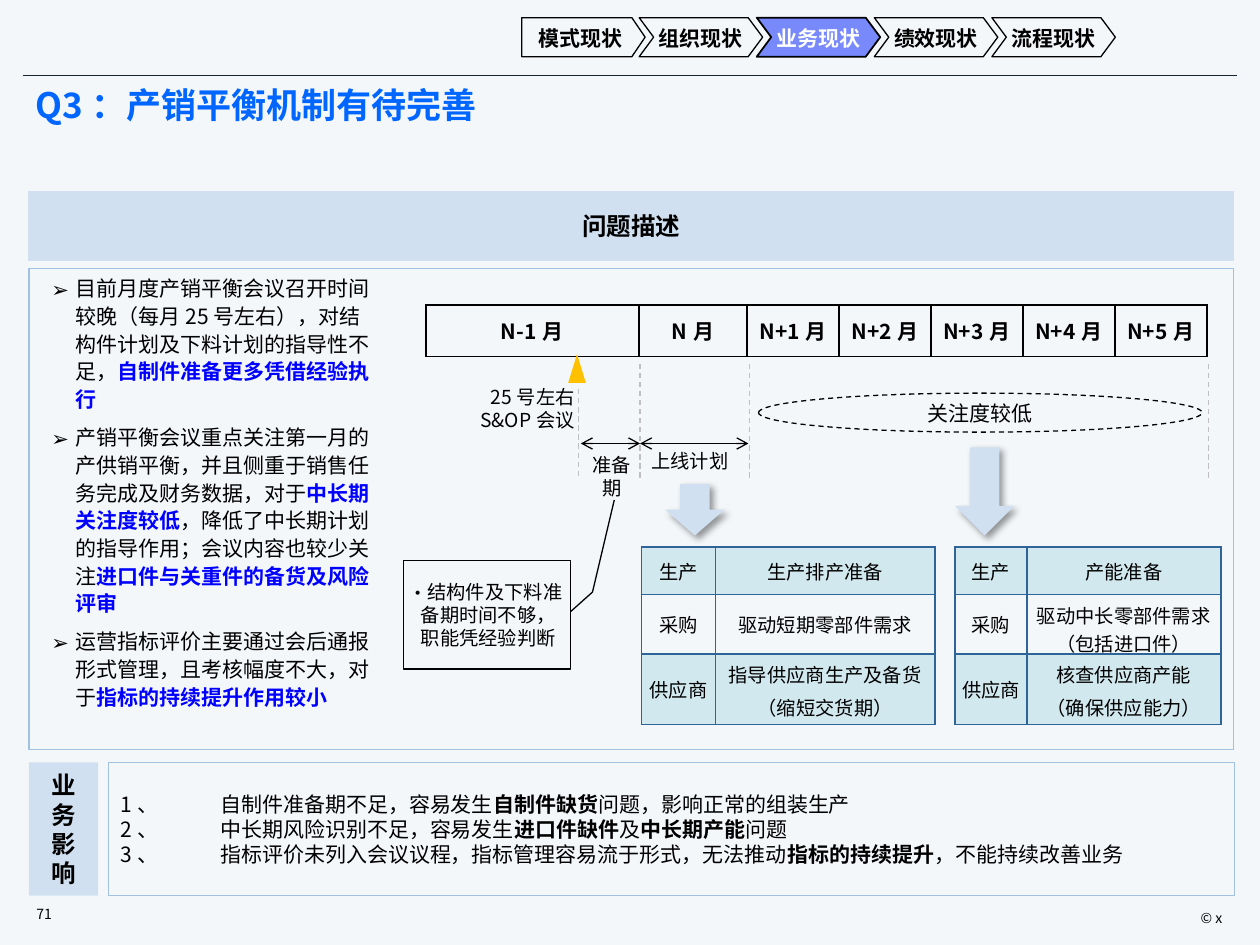
from copy import deepcopy
from itertools import product
from lxml.etree import SubElement
from pptx import Presentation
from pptx.dml.color import RGBColor
from pptx.enum.dml import MSO_LINE
from pptx.enum.shapes import MSO_CONNECTOR, MSO_SHAPE
from pptx.enum.text import MSO_ANCHOR, PP_ALIGN
from pptx.oxml.ns import qn
from pptx.util import Inches, Pt

FONT = "Noto Sans CJK SC"
BLACK = RGBColor(0x00, 0x00, 0x00)
WHITE = RGBColor(0xFF, 0xFF, 0xFF)
PAGE = RGBColor(0xF4, 0xF7, 0xFA)
INK = RGBColor(0x17, 0x24, 0x31)
TITLE = RGBColor(0x00, 0x66, 0xFF)
EMPHASIS = RGBColor(0x00, 0x00, 0xFF)
PALE = RGBColor(0xD0, 0xE0, 0xF0)
FRAME = RGBColor(0xA0, 0xC1, 0xE2)
ACTIVE = RGBColor(0x78, 0x89, 0xFB)
AMBER = RGBColor(0xFF, 0xC0, 0x00)
GUIDE = RGBColor(0xBF, 0xBF, 0xBF)
NAVY = RGBColor(0x2F, 0x64, 0x99)
TEAL = RGBColor(0x4B, 0xAC, 0xC6)

WIDTH, HEIGHT = Inches(10), Inches(7.5)
LEFT, CENTER, RIGHT = PP_ALIGN.LEFT, PP_ALIGN.CENTER, PP_ALIGN.RIGHT
TIGHT = (0.04, 0.05, 0.04, 0.05)
STAGES = ["模式现状", "组织现状", "业务现状", "绩效现状", "流程现状"]
MONTHS = ["N-1月", "N月"] + [f"N+{n}月" for n in range(1, 6)]
FINDINGS = [
    "目前月度产销平衡会议召开时间较晚（每月25号左右），对结构件计划及下料计划的指导性不足，**自制件准备更多凭借经验执行",
    "产销平衡会议重点关注第一月的产供销平衡，并且侧重于销售任务完成及财务数据，对于**中长期关注度较低**，"
    "降低了中长期计划的指导作用；会议内容也较少关注**进口件与关重件的备货及风险评审",
    "运营指标评价主要通过会后通报形式管理，且考核幅度不大，对于**指标的持续提升作用较小",
]
IMPACTS = [
    "1、\t自制件准备期不足，容易发生**自制件缺货**问题，影响正常的组装生产",
    "2、\t中长期风险识别不足，容易发生**进口件缺件**及**中长期产能**问题",
    "3、\t指标评价未列入会议议程，指标管理容易流于形式，无法推动**指标的持续提升**，不能持续改善业务",
]
SHORT_TERM = [["生产", "生产排产准备"], ["采购", "驱动短期零部件需求"],
              ["供应商", "指导供应商生产及备货\n（缩短交货期）"]]
LONG_TERM = [["生产", "产能准备"], ["采购", "驱动中长零部件需求\v（包括进口件）"],
             ["供应商", "核查供应商产能\n（确保供应能力）"]]


def col(n):
    return round(WIDTH * n / 100)


def row(n):
    return round(HEIGHT * n / 75)


def grid(at):
    x, y, w, h = at
    return col(x), row(y), col(w), row(h)


def add_run(p, text, size, color, bold):
    r = p.add_run()
    r.text = text
    for key, value in {"name": FONT, "size": Pt(size), "bold": bold}.items():
        setattr(r.font, key, value)
    r.font.color.rgb = color
    SubElement(r.font._element, qn("a:ea"), typeface=FONT)


def write(tf, lines, size, color=BLACK, bold=False, strong=None, align=LEFT,
          before=0, spacing=None, indent=0, bullet=None):
    for i, line in enumerate(lines):
        p = tf.add_paragraph() if i else tf.paragraphs[0]
        pPr = p._p.get_or_add_pPr()
        if indent:
            pPr.set("marL", str(Inches(indent)))
            pPr.set("indent", str(-Inches(indent)))
        if bullet:
            SubElement(pPr, qn("a:buFont"), typeface=FONT)
            SubElement(pPr, qn("a:buChar"), char=bullet)
        props = {"alignment": align, "line_spacing": spacing,
                 "space_before": Pt(before if i else 0)}
        for key, value in props.items():
            setattr(p, key, value)
        for n, part in enumerate(line.split("**")):
            marked = n % 2 == 1
            for k, piece in enumerate(part.split("\v")):
                if k:
                    p.add_line_break()
                add_run(p, piece, size, strong if marked and strong else color, bold or marked)
        for br in p._p.findall(qn("a:br")):
            br.append(deepcopy(p.runs[0]._r.rPr))


def set_frame(tf, ins=(0.1, 0.05, 0.1, 0.05), anchor=MSO_ANCHOR.MIDDLE, wrap=True):
    sides = ("margin_left", "margin_top", "margin_right", "margin_bottom")
    props = {**dict(zip(sides, map(Inches, ins))), "vertical_anchor": anchor, "word_wrap": wrap}
    for key, value in props.items():
        setattr(tf, key, value)


def add_text(s, at, lines, size, anchor=MSO_ANCHOR.TOP, wrap=True, **style):
    tf = s.shapes.add_textbox(*grid(at)).text_frame
    set_frame(tf, anchor=anchor, wrap=wrap)
    write(tf, lines, size, **style)


def add_box(s, kind, at, fill=None, line=None, width=0.75, dash=None, adj=()):
    sp = s.shapes.add_shape(kind, *grid(at))
    sp.shadow.inherit = False
    for fmt, color in ((sp.fill, fill), (sp.line.fill, line)):
        if color is None:
            fmt.background()
        else:
            fmt.solid()
            fmt.fore_color.rgb = color
    if line is not None:
        sp.line.width = Pt(width)
        sp.line.dash_style = dash
    for i, value in enumerate(adj):
        sp.adjustments[i] = value
    set_frame(sp.text_frame)
    return sp


def add_line(s, x1, y1, x2, y2, color=BLACK, width=0.75, dash=None, arrows=False):
    c = s.shapes.add_connector(MSO_CONNECTOR.STRAIGHT, col(x1), row(y1), col(x2), row(y2))
    c.line.color.rgb = color
    c.line.width = Pt(width)
    c.line.dash_style = dash
    if arrows:
        for end in ("a:headEnd", "a:tailEnd"):
            SubElement(c.line._get_or_add_ln(), qn(end), type="arrow")
    SubElement(c._element.spPr, qn("a:effectLst"))


def add_down_arrow(s, at):
    sp = add_box(s, MSO_SHAPE.DOWN_ARROW, at, fill=PALE)
    effects = sp._element.spPr.find(qn("a:effectLst"))
    shadow = SubElement(effects, qn("a:outerShdw"), blurRad=str(Pt(4)), dist=str(Pt(3)),
                        dir="2700000", algn="tl", rotWithShape="0")
    color = SubElement(shadow, qn("a:srgbClr"), val=str(BLACK))
    SubElement(color, qn("a:alpha"), val="40000")


def set_borders(tcPr, color):
    for side in ("a:lnL", "a:lnR", "a:lnT", "a:lnB"):
        ln = SubElement(tcPr, qn(side), w=str(Pt(1)))
        SubElement(SubElement(ln, qn("a:solidFill")), qn("a:srgbClr"), val=str(color))


def add_grid_table(s, x, y, widths, heights, data, border, size, bold=False, banded=False):
    at = grid((x, y, sum(widths), sum(heights)))
    table = s.shapes.add_table(len(heights), len(widths), *at).table
    table.first_row = table.horz_banding = False
    for i, w in enumerate(widths):
        table.columns[i].width = col(w)
    for i, h in enumerate(heights):
        table.rows[i].height = row(h)
    for i, j in product(range(len(heights)), range(len(widths))):
        cell = table.cell(i, j)
        tcPr = cell._tc.get_or_add_tcPr()
        set_borders(tcPr, border)
        if banded and i % 2 == 0:
            cell.fill.solid()
            cell.fill.fore_color.rgb = TEAL
            SubElement(tcPr.find(qn("a:solidFill"))[0], qn("a:alpha"), val="20000")
        else:
            cell.fill.background()
        set_frame(cell, TIGHT)
        write(cell.text_frame, data[i][j].split("\n"), size, bold=bold, align=CENTER, before=3)


def add_stages(s, active):
    for i, name in enumerate(STAGES):
        on = i == active
        kind, adj = (MSO_SHAPE.CHEVRON, 0.37) if i else (MSO_SHAPE.PENTAGON, 0.34)
        sp = add_box(s, kind, (41.4 + 9.33 * i, 1.4, 9.8, 3.1), fill=ACTIVE if on else None,
                     line=BLACK, width=1 if on else 0.75, adj=[adj])
        set_frame(sp.text_frame, (0.1, 0.08, 0.1, 0.04), wrap=False)
        write(sp.text_frame, [name], 12, WHITE if on else BLACK, True, align=CENTER, spacing=0.9)


def add_panels(s):
    heading = add_box(s, MSO_SHAPE.RECTANGLE, (2.3, 15.2, 95.6, 5.5), PALE, PALE)
    write(heading.text_frame, ["问题描述"], 14, bold=True, align=CENTER)
    add_box(s, MSO_SHAPE.RECTANGLE, (2.3, 21.3, 95.6, 38.2), line=FRAME)
    label = add_box(s, MSO_SHAPE.RECTANGLE, (2.3, 60.5, 5.5, 10.6), PALE)
    write(label.text_frame, ["业务影响"], 14, bold=True, align=CENTER)
    impact = add_box(s, MSO_SHAPE.RECTANGLE, (8.6, 60.5, 89.4, 10.6), line=FRAME)
    write(impact.text_frame, IMPACTS, 12, indent=0.29)
    add_text(s, (3.1, 21.2, 28.1, 33.8), FINDINGS, 12, strong=EMPHASIS,
             before=6, spacing=1.1, indent=0.19, bullet="➢")


def add_timeline(s):
    add_grid_table(s, 33.8, 24.2, [16.9, 8.6] + [7.3] * 5, [4.1], [MONTHS], BLACK, 12, bold=True)
    add_box(s, MSO_SHAPE.ISOSCELES_TRIANGLE, (45.1, 28.1, 1.4, 2.3), fill=AMBER)
    add_text(s, (37, 30.1, 9.6, 4.7), ["25号左右\vS&OP会议"], 11, wrap=False, align=RIGHT)
    for x, top in ((45.9, 30.9), (50.8, 28.9), (59.5, 28.9), (95.9, 28.9)):
        add_line(s, x, top, x, 38, GUIDE, dash=MSO_LINE.DASH)
    for x1, x2 in ((46.1, 50.8), (50.8, 59.4)):
        add_line(s, x1, 35.2, x2, 35.2, arrows=True)
    add_text(s, (50.7, 35.2, 8.2, 2.9), ["上线计划"], 11, wrap=False)
    add_text(s, (46, 35.5, 5.1, 4.7), ["准备", "期"], 11, wrap=False, align=CENTER)
    oval = add_box(s, MSO_SHAPE.OVAL, (60.2, 31.2, 35.2, 3.1), line=BLACK, dash=MSO_LINE.DASH)
    write(oval.text_frame, ["关注度较低"], 12, align=CENTER)
    note = add_box(s, MSO_SHAPE.LINE_CALLOUT_2, (32, 44.5, 13.3, 8.6), line=BLACK,
                   adj=[0.47, 1, 0.29, 1.13, -0.56, 1.26])
    set_frame(note.text_frame, TIGHT)
    write(note.text_frame, ["结构件及下料准备期时间不够，职能凭经验判断"], 11, indent=0.1, bullet="•")


def add_actions(s):
    add_down_arrow(s, (75.8, 35.5, 4.7, 7))
    add_down_arrow(s, (52.8, 38.4, 4.7, 4.1))
    for x, widths, data in ((75.8, [5.7, 15.4], LONG_TERM), (50.9, [5.9, 17.4], SHORT_TERM)):
        add_grid_table(s, x, 43.4, widths, [3.8, 4.7, 5.6], data, NAVY, 11, banded=True)


def main():
    prs = Presentation()
    prs.slide_width, prs.slide_height = WIDTH, HEIGHT
    s = prs.slides.add_slide(prs.slide_layouts[6])
    s.background.fill.solid()
    s.background.fill.fore_color.rgb = PAGE
    add_line(s, 1.8, 6, 98.2, 6, INK, 1)
    add_text(s, (83, 71.7, 15, 2), ["© x"], 8, align=RIGHT)
    add_text(s, (1.9, 71.3, 7, 2.4), ["71"], 8, anchor=MSO_ANCHOR.MIDDLE)
    add_text(s, (1.8, 6.5, 96.5, 7.6), ["Q3：产销平衡机制有待完善"], 20,
             color=TITLE, bold=True, spacing=0.9)
    add_panels(s)
    add_timeline(s)
    add_actions(s)
    add_stages(s, active=2)
    prs.save("out.pptx")


if __name__ == "__main__":
    main()
